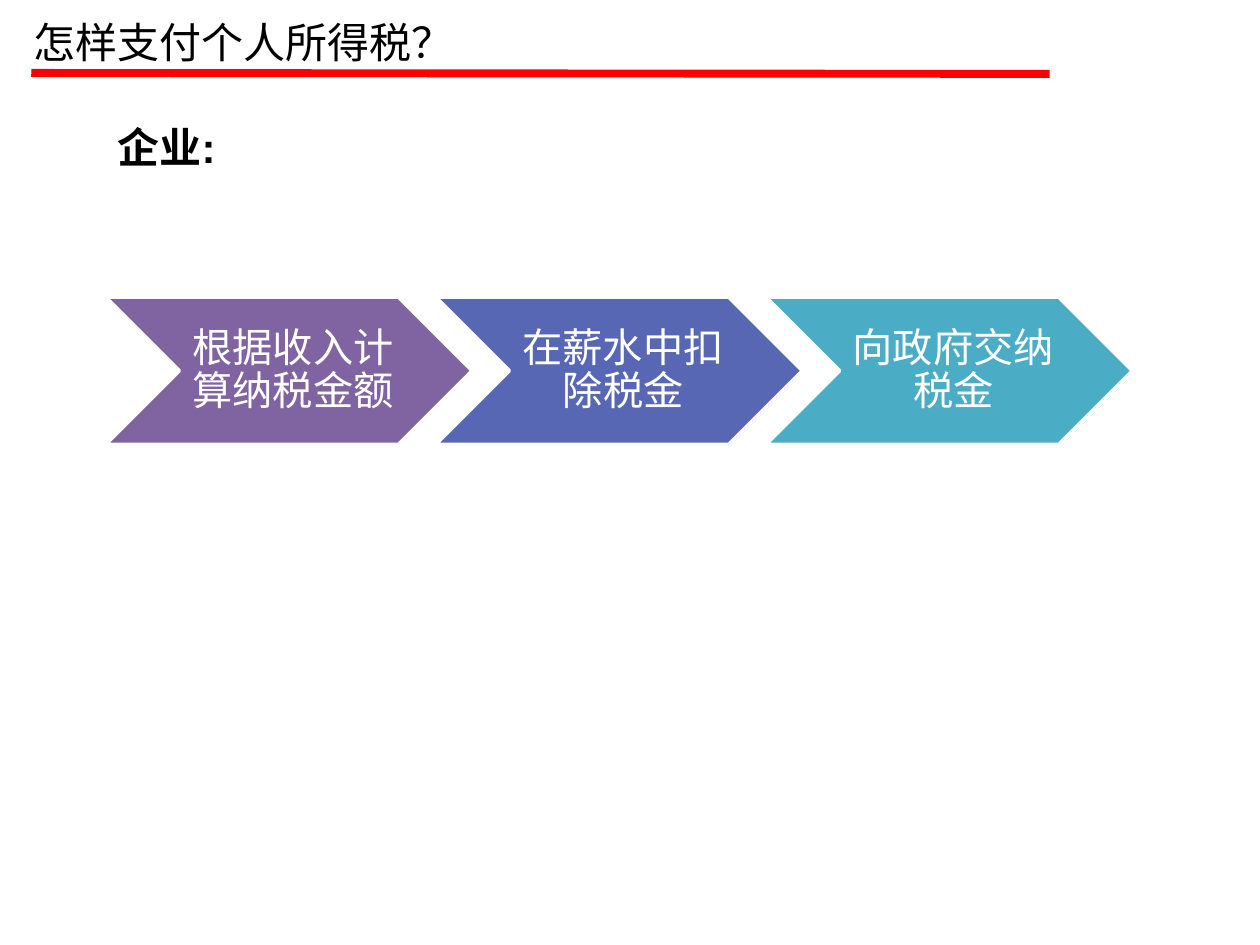
from pptx import Presentation
from pptx.dml.color import RGBColor
from pptx.enum import shapes, text
from pptx.oxml.ns import qn
from pptx.util import Cm, Pt
from lxml import etree


def rgb(code):
    return RGBColor.from_string(code)


def style(para, size, face, color, bold=False):
    for run in para.runs:
        font = run.font
        font.size, font.name, font.bold = Pt(size), face, bold
        font.color.rgb = rgb(color)
        # East Asian glyphs use the same face
        east = etree.SubElement(run._r.get_or_add_rPr(), qn("a:ea"))
        east.set("typeface", face)


def place(shape, x, y, w, h):
    shape.left, shape.top, shape.width, shape.height = Cm(x), Cm(y), Cm(w), Cm(h)


def header(slide, x, y, w, h):
    # Title
    title = slide.shapes.title
    place(title, x, y, w, h)
    frame = title.text_frame
    frame.text = "怎样支付个人所得税？"
    frame.vertical_anchor = text.MSO_ANCHOR.TOP
    frame.auto_size = text.MSO_AUTO_SIZE.NONE
    para = frame.paragraphs[0]
    para.alignment = text.PP_ALIGN.LEFT
    style(para, 24, "Montserrat", "000000")

    # Red rule under the title
    rule = slide.shapes.add_connector(
        shapes.MSO_CONNECTOR.STRAIGHT,
        Cm(x + 0.2), Cm(y + h), Cm(x + 20.73), Cm(y + h + 0.02))
    rule.line.color.rgb = rgb("FF0000")
    rule.line.width = Pt(4.5)
    etree.SubElement(rule._element.spPr, qn("a:effectLst"))


def label(slide, x, y, w, h):
    box = slide.shapes.add_textbox(Cm(x), Cm(y), Cm(w), Cm(h))
    frame = box.text_frame
    frame.word_wrap = True
    frame.text = "企业:"
    style(frame.paragraphs[0], 24, "Arial", "000000", True)


def step(group, x, y, w, h, words, color):
    # Chevron
    arrow = group.shapes.add_shape(
        shapes.MSO_SHAPE.CHEVRON, Cm(x), Cm(y), Cm(w), Cm(h))
    arrow.shadow.inherit = False
    arrow.fill.solid()
    arrow.fill.fore_color.rgb = rgb(color)
    arrow.line.color.rgb = rgb("FFFFFF")
    arrow.line.width = Pt(2)

    # Words between the notch and the point
    box = group.shapes.add_textbox(Cm(x + h / 2), Cm(y), Cm(w - h), Cm(h))
    frame = box.text_frame
    frame.word_wrap = True
    frame.vertical_anchor = text.MSO_ANCHOR.MIDDLE
    frame.margin_left = Cm(0.25)
    frame.margin_top = frame.margin_right = frame.margin_bottom = Cm(0.08)
    frame.text = words
    para = frame.paragraphs[0]
    para.alignment = text.PP_ALIGN.CENTER
    para.line_spacing = 0.9
    style(para, 23, "Calibri", "FFFFFF")


def flow(slide, x, y, w, h, steps):
    group = slide.shapes.add_group_shape()
    size = 7.39
    pitch = (w - size) / (len(steps) - 1)
    for i, (words, color) in enumerate(steps):
        step(group, x + i * pitch, y, size, h, words, color)


def main():
    deck = Presentation()
    deck.slide_width, deck.slide_height = Cm(25.4), Cm(19.05)
    slide = deck.slides.add_slide(deck.slide_layouts[5])
    header(slide, 0.43, 0.2, 22.43, 1.27)
    label(slide, 2.12, 2.33, 5.5, 1.28)
    flow(slide, 2.13, 5.99, 20.7, 2.97, [
        ("根据收入计算纳税金额", "8064A2"),
        ("在薪水中扣除税金", "5767B4"),
        ("向政府交纳税金", "4BACC6"),
    ])
    deck.save("out.pptx")


if __name__ == "__main__":
    main()
